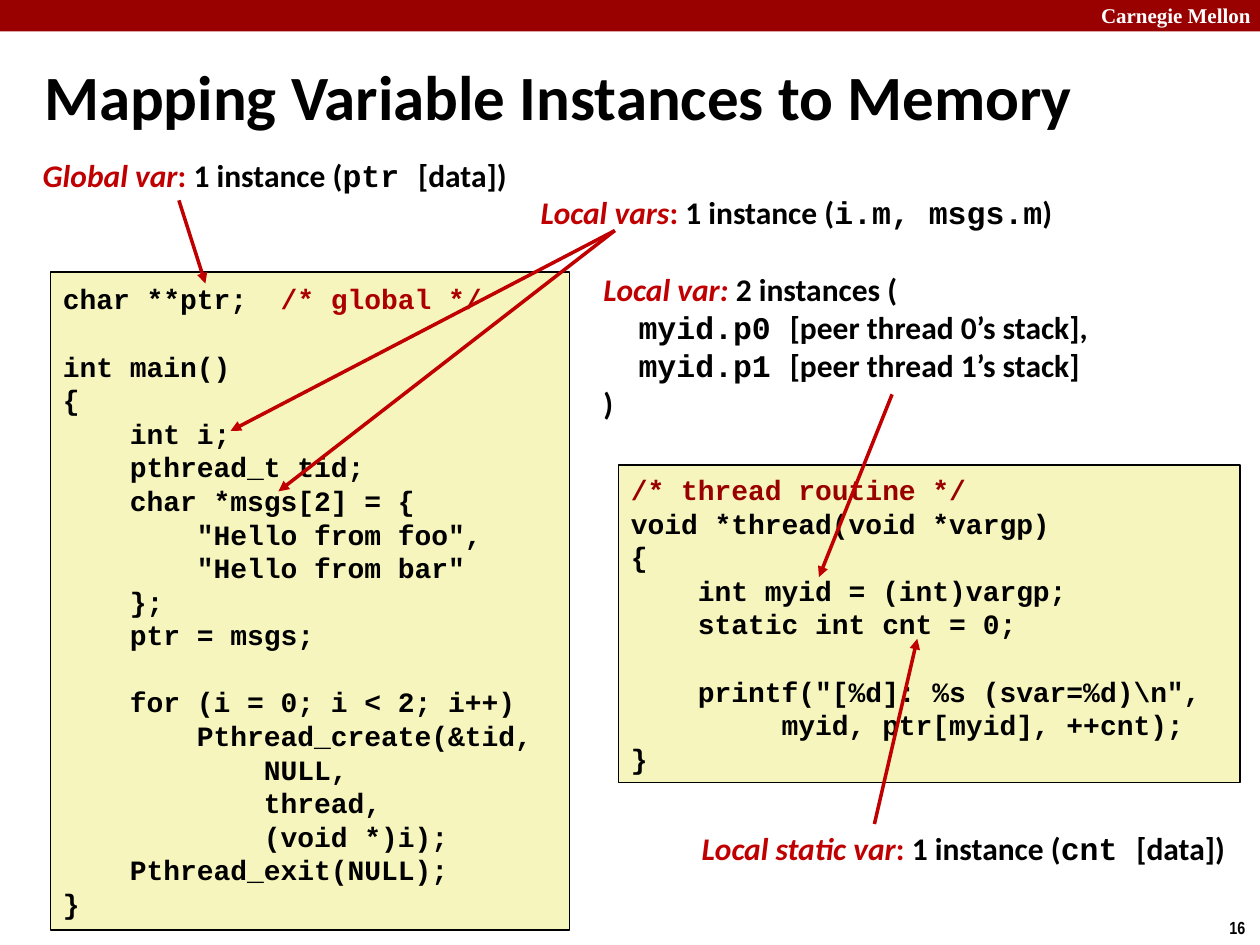
from lxml import etree
from pptx import Presentation
from pptx.dml.color import RGBColor
from pptx.enum.shapes import MSO_CONNECTOR, MSO_SHAPE
from pptx.enum.text import MSO_ANCHOR, PP_ALIGN
from pptx.oxml.ns import qn
from pptx.util import Inches, Pt

RECT, STRAIGHT = MSO_SHAPE.RECTANGLE, MSO_CONNECTOR.STRAIGHT
LEFT, CENTER = PP_ALIGN.LEFT, PP_ALIGN.CENTER
TOP, MIDDLE = MSO_ANCHOR.TOP, MSO_ANCHOR.MIDDLE

# Theme: colour, font and (font, size, colour, italic) text styles
COLORS = {"bar": "990000", "red": "C00000", "comment": "990000", "global": "AC0000",
          "code": "F6F5BD", "ink": "000000", "white": "FFFFFF"}
STYLES = {
    "title": ("Calibri", 36, "ink", False),
    "brand": ("Times New Roman", 12, "white", False),
    "number": ("Arial Narrow", 10, "ink", False),
    "name": ("Calibri", 18, "red", True),
    "colon": ("Calibri", 18, "red", False),
    "label": ("Calibri", 18, "ink", False),
    "var": ("Courier New", 18, "ink", False),
    "code": ("Courier New", 16, "ink", False),
    "comment": ("Courier New", 16, "comment", False),
    "global": ("Courier New", 16, "global", False),
}

# Content
TITLE = "Mapping Variable Instances to Memory"

MAIN_CODE = [[("char **ptr;  ", "code"), ("/* global */", "global")]] + [
    [(line, "code")] for line in """
int main()
{
    int i;
    pthread_t tid;
    char *msgs[2] = {
        "Hello from foo",
        "Hello from bar"
    };
    ptr = msgs;

    for (i = 0; i < 2; i++)
        Pthread_create(&tid,
            NULL,
            thread,
            (void *)i);
    Pthread_exit(NULL);
}""".split("\n")]

THREAD_CODE = [[("/* thread routine */", "comment")]] + [
    [(line, "code")] for line in r"""void *thread(void *vargp)
{
    int myid = (int)vargp;
    static int cnt = 0;

    printf("[%d]: %s (svar=%d)\n",
         myid, ptr[myid], ++cnt);
}""".split("\n")]

CODE_BOXES = [
    ((0.4, 2.16, 4.12, 5.22), MAIN_CODE),
    ((4.91, 3.69, 4.93, 2.52), THREAD_CODE),
]

# One-instance labels: place, kind of variable, variable names, ending
LABELS = [
    ((0.22, 1.24, 3.92, 0.3), "Global var", "ptr ", "[data])"),
    ((5.44, 6.58, 4.41, 0.3), "Local static var", "cnt ", "[data])"),
    ((4.17, 1.53, 4.3, 0.3), "Local vars", "i.m, msgs.m", ")"),
]

PEER_BOX = (4.69, 2.14, 4.23, 1.21)
PEER_INDENT = 0.28
PEER_LINES = [
    [("Local var: ", "name"), ("2 instances (", "label")],
    [("myid.p0 ", "var"), ("[peer thread 0’s stack],", "label")],
    [("myid.p1 ", "var"), ("[peer thread 1’s stack]", "label")],
    [(")", "label")],
]

LOCALS_START = (4.88, 1.83)
ARROWS = [
    ((1.42, 1.59), (1.63, 2.25)),
    ((6.94, 6.54), (7.28, 5.07)),
    (LOCALS_START, (1.83, 3.42)),
    (LOCALS_START, (2.21, 3.9)),
    ((7.08, 3.13), (6.5, 4.58)),
]


def color(name):
    return RGBColor.from_string(COLORS[name])


def write(sp, lines, align=LEFT, anchor=MIDDLE, wrap=False, inset=0.05):
    tf = sp.text_frame
    tf.word_wrap = wrap
    tf.vertical_anchor = anchor
    tf.margin_left = tf.margin_right = Inches(0.1)
    tf.margin_top = tf.margin_bottom = Inches(inset)
    for i, line in enumerate(lines):
        p = tf.add_paragraph() if i else tf.paragraphs[0]
        p.alignment = align
        for text, style in line:
            font, size, ink, italic = STYLES[style]
            if not text:  # an empty code line keeps the code size
                etree.SubElement(p._p, qn("a:endParaRPr"), sz=str(size * 100))
                continue
            r = p.add_run()
            r.text = text
            r.font.name, r.font.size = font, Pt(size)
            r.font.bold, r.font.italic = True, italic
            r.font.color.rgb = color(ink)
    return tf


def add_text(s, box, lines, **options):
    return write(s.shapes.add_textbox(*map(Inches, box)), lines, **options)


def add_rect(s, box, fill, line=None):
    sp = s.shapes.add_shape(RECT, *map(Inches, box))
    sp.shadow.inherit = False
    sp.fill.solid()
    sp.fill.fore_color.rgb = color(fill)
    if line:
        sp.line.color.rgb = color(line)
        sp.line.width = Pt(1)
    else:
        sp.line.fill.background()
    return sp


def add_arrow(s, start, end):
    c = s.shapes.add_connector(STRAIGHT, *map(Inches, start + end))
    c.line.color.rgb = color("red")
    c.line.width = Pt(2)
    etree.SubElement(c.line._get_or_add_ln(), qn("a:tailEnd"), type="triangle")
    etree.SubElement(c._element.spPr, qn("a:effectLst"))


def main():
    prs = Presentation()
    prs.slide_width, prs.slide_height = Inches(10), Inches(7.5)
    s = prs.slides.add_slide(prs.slide_layouts[5])

    # Header bar and slide number
    add_rect(s, (0, 0, 10, 0.25), "bar")
    add_text(s, (8.64, -0.03, 1.43, 0.3), [[("Carnegie Mellon", "brand")]],
             anchor=TOP, wrap=True)
    add_text(s, (9.66, 7.23, 0.34, 0.27), [[("16", "number")]], anchor=TOP)

    # Title
    title = s.shapes.title
    title.left, title.top, title.width, title.height = map(
        Inches, (0.25, 0.33, 9.81, 0.85))
    write(title, [[(TITLE, "title")]], wrap=True)

    # Code listings
    for box, lines in CODE_BOXES:
        write(add_rect(s, box, "code", "ink"), lines)

    # Variable labels
    for box, kind, names, ending in LABELS:
        line = [(kind, "name"), (": ", "colon"), ("1 instance (", "label"),
                (names, "var"), (ending, "label")]
        add_text(s, box, [line], align=CENTER, inset=0)
    tf = add_text(s, PEER_BOX, PEER_LINES, inset=0)
    for p in tf.paragraphs[1:3]:
        p._p.get_or_add_pPr().set("marL", str(Inches(PEER_INDENT)))

    # Arrows from labels to code
    for start, end in ARROWS:
        add_arrow(s, start, end)

    prs.save("out.pptx")


if __name__ == "__main__":
    main()
